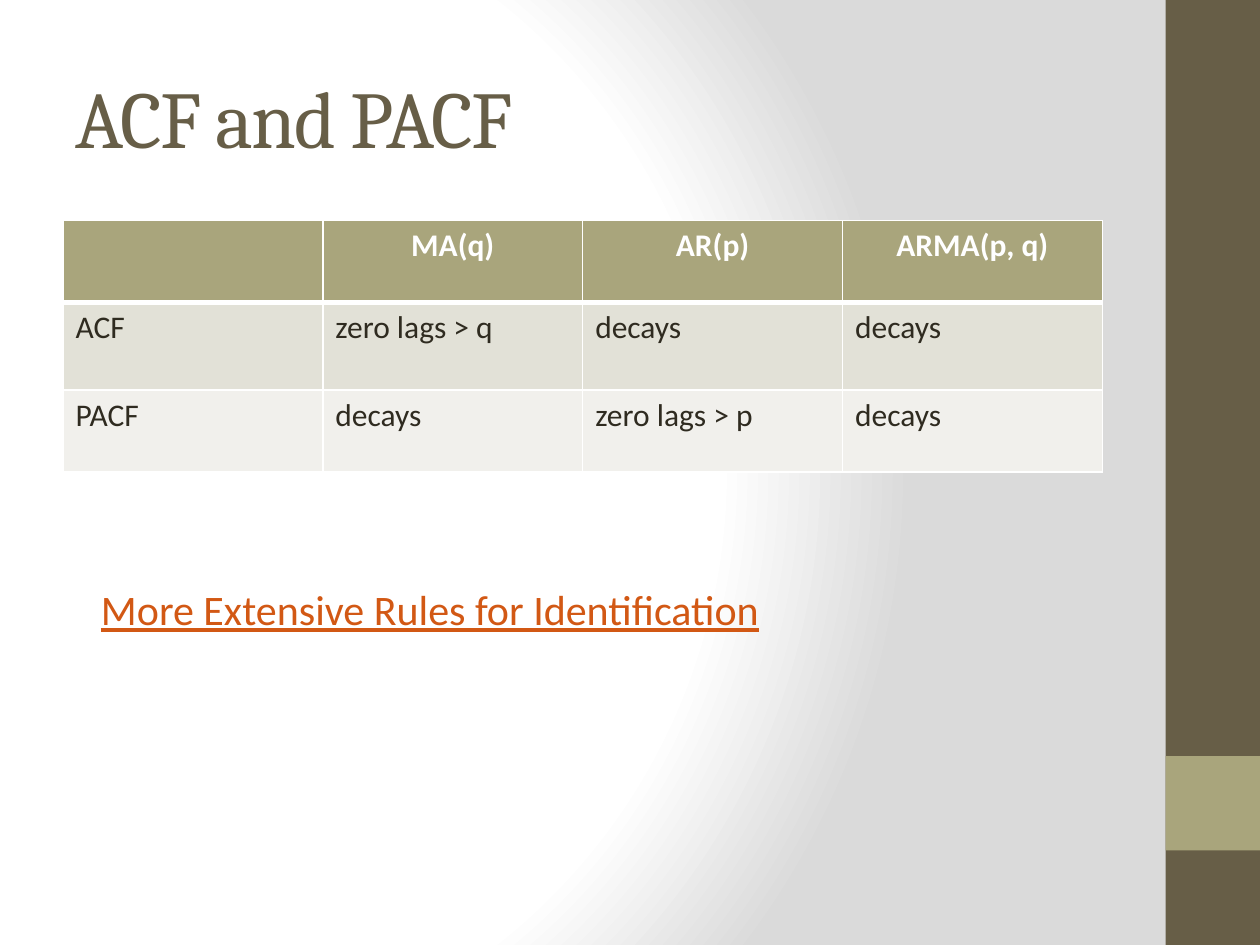
"""Build the ACF and PACF identification slide."""
from dataclasses import dataclass

from lxml import etree
from pptx import Presentation
from pptx.dml.color import RGBColor
from pptx.enum import shapes, text
from pptx.oxml import parse_xml
from pptx.oxml.ns import nsdecls, qn
from pptx.util import Pt

BROWN = RGBColor(0x67, 0x5E, 0x47)
OLIVE = RGBColor(0xA9, 0xA5, 0x7C)
INK = RGBColor(0x2F, 0x2B, 0x20)
ORANGE = RGBColor(0xD2, 0x58, 0x14)
WHITE = RGBColor(0xFF, 0xFF, 0xFF)
GREY = RGBColor(0xDA, 0xDA, 0xDA)
BAND_DARK = RGBColor(0xE2, 0xE1, 0xD7)
BAND_LIGHT = RGBColor(0xF1, 0xF0, 0xEC)


@dataclass
class Bar:
    top: float
    height: float
    color: RGBColor


@dataclass
class Row:
    cells: tuple[str, ...]
    height: float
    fill: RGBColor
    header: bool = False


BARS = [Bar(0, 540, BROWN), Bar(432, 54, OLIVE)]
ROWS = [
    Row(("", "MA(q)", "AR(p)", "ARMA(p, q)"), 46.8, OLIVE, True),
    Row(("ACF", "zero lags > q", "decays", "decays"), 50, BAND_DARK),
    Row(("PACF", "decays", "zero lags > p", "decays"), 46.8, BAND_LIGHT),
]
COLUMN_WIDTH = 148.5


def set_background(s) -> None:
    s.background.fill.solid()
    bg = s.background._cSld.bg.bgPr
    stops = "".join(
        f'<a:gs pos="{pos * 1000}"><a:srgbClr val="{color}"/></a:gs>'
        for pos, color in ((0, WHITE), (75, WHITE), (100, GREY))
    )
    gradient = parse_xml(
        f'<a:gradFill {nsdecls("a")} rotWithShape="1"><a:gsLst>{stops}</a:gsLst>'
        '<a:path path="circle"><a:fillToRect l="20000" t="50000" r="100000" b="50000"/>'
        "</a:path></a:gradFill>"
    )
    bg.replace(bg[0], gradient)


def draw_bar(s, bar: Bar) -> None:
    sp = s.shapes.add_shape(
        shapes.MSO_SHAPE.RECTANGLE, Pt(666), Pt(bar.top), Pt(54), Pt(bar.height)
    )
    sp.shadow.inherit = False
    sp.fill.solid()
    sp.fill.fore_color.rgb = bar.color
    sp.line.fill.background()


def format_run(r, name: str, size: float, color: RGBColor, bold: bool = False) -> None:
    r.font.name = name
    r.font.size = Pt(size)
    r.font.color.rgb = color
    r.font.bold = bold


def set_borders(cell, bottom: float, top: float) -> None:
    tc_pr = cell._tc.get_or_add_tcPr()
    widths = {"lnL": 1, "lnR": 1, "lnT": top, "lnB": bottom}
    for i, (tag, width) in enumerate(widths.items()):
        ln = etree.Element(qn(f"a:{tag}"), w=str(Pt(width)))
        fill = etree.SubElement(ln, qn("a:solidFill"))
        etree.SubElement(fill, qn("a:srgbClr"), val=str(WHITE))
        tc_pr.insert(i, ln)


def draw_table(s, rows: list[Row]) -> None:
    columns = len(rows[0].cells)
    table = s.shapes.add_table(
        len(rows), columns, Pt(36), Pt(126),
        Pt(columns * COLUMN_WIDTH), Pt(sum(row.height for row in rows)),
    ).table
    for i, row in enumerate(rows):
        table.rows[i].height = Pt(row.height)
        for j, label in enumerate(row.cells):
            cell = table.cell(i, j)
            cell.fill.solid()
            cell.fill.fore_color.rgb = row.fill
            set_borders(cell, 3 if row.header else 1, 3 if i == 1 else 1)
            cell.text_frame.text = label
            p = cell.text_frame.paragraphs[0]
            p.alignment = text.PP_ALIGN.CENTER if row.header else text.PP_ALIGN.LEFT
            for r in p.runs:
                format_run(r, "Calibri", 18, WHITE if row.header else INK, row.header)


def draw_title(s, label: str) -> None:
    sp = s.shapes.title
    sp.left, sp.top, sp.width, sp.height = Pt(36), Pt(21.6), Pt(600), Pt(90)
    tf = sp.text_frame
    tf.text = label
    tf.vertical_anchor = text.MSO_ANCHOR.MIDDLE
    p = tf.paragraphs[0]
    p.alignment = text.PP_ALIGN.LEFT
    r = p.runs[0]
    format_run(r, "Cambria", 46, BROWN)
    r.font._element.set("spc", "-100")


def draw_rules_line(s, label: str) -> None:
    sp = s.shapes.add_textbox(Pt(42), Pt(330), Pt(570), Pt(36))
    tf = sp.text_frame
    tf.word_wrap = True
    tf.auto_size = text.MSO_AUTO_SIZE.SHAPE_TO_FIT_TEXT
    tf.text = label
    p = tf.paragraphs[0]
    p._p.get_or_add_pPr().set("marL", str(Pt(8.64)))
    r = p.runs[0]
    format_run(r, "Calibri", 24, ORANGE)
    r.font.underline = True


def main() -> None:
    prs = Presentation()
    prs.slide_width, prs.slide_height = Pt(720), Pt(540)
    s = prs.slides.add_slide(prs.slide_layouts[5])
    set_background(s)
    for bar in BARS:
        draw_bar(s, bar)
    draw_title(s, "ACF and PACF")
    draw_table(s, ROWS)
    draw_rules_line(s, "More Extensive Rules for Identification")
    prs.save("out.pptx")


if __name__ == "__main__":
    main()
